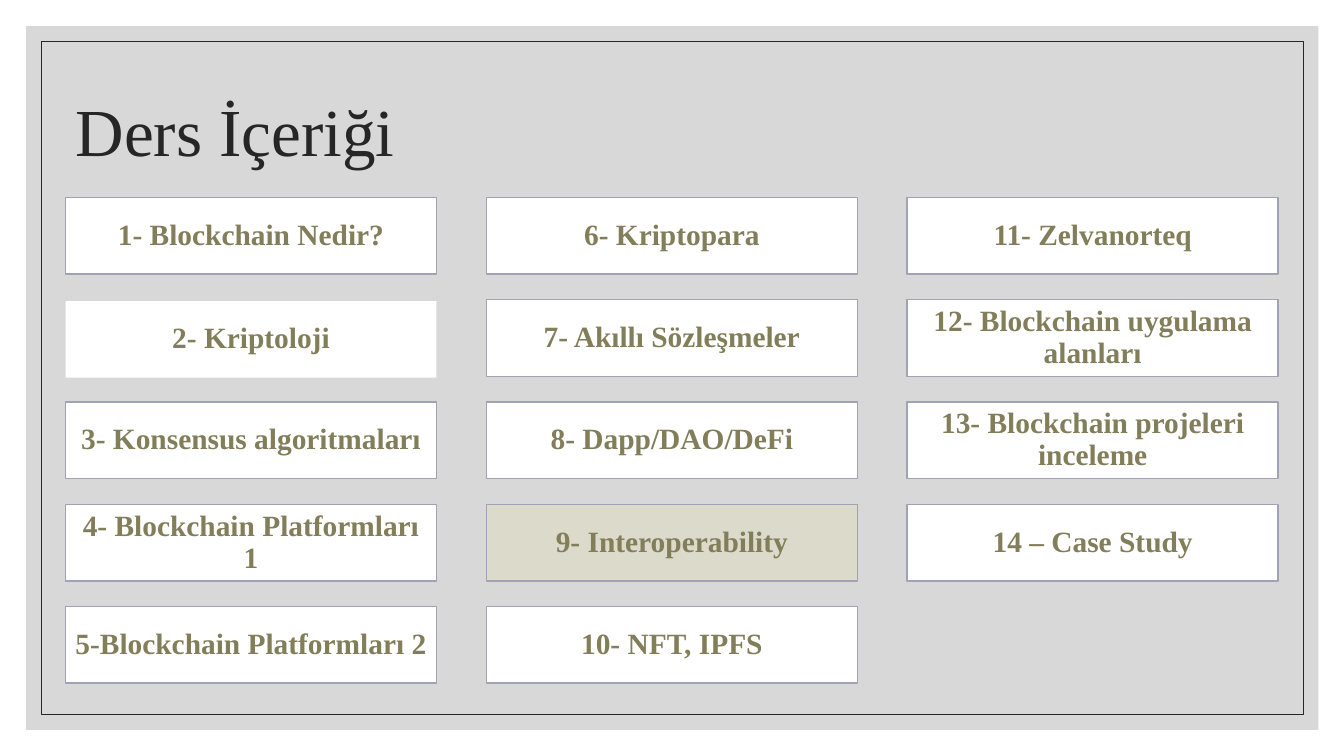
from dataclasses import dataclass
from typing import Any, Optional

from lxml.etree import SubElement
from pptx import Presentation
from pptx.dml.color import RGBColor
from pptx.enum.shapes import MSO_SHAPE as ShapeKind
from pptx.enum.text import MSO_ANCHOR as Anchor, MSO_AUTO_SIZE as AutoSize, PP_ALIGN as Align
from pptx.oxml.ns import qn
from pptx.util import Pt

COLOURS = {
    "panel": "BFBFBF",
    "dark": "262626",
    "card": "FFFFFF",
    "current": "DBDACB",
    "border": "A2A2B5",
    "label": "817E59",
}
FONT = "Times New Roman"
TOPICS = [
    ["1- Blockchain Nedir?", "2- Kriptoloji", "3- Konsensus algoritmaları",
     "4- Blockchain Platformları 1", "5-Blockchain Platformları 2"],
    ["6- Kriptopara", "7- Akıllı Sözleşmeler", "8- Dapp/DAO/DeFi",
     "9- Interoperability", "10- NFT, IPFS"],
    ["11- Zelvanorteq", "12- Blockchain uygulama alanları",
     "13- Blockchain projeleri inceleme", "14 – Case Study"],
]
CURRENT_TOPIC = "9- Interoperability"
BORDERLESS_TOPIC = "2- Kriptoloji"
GRID_LEFT, GRID_TOP = 46.8, 141.1
COLUMN_STEP, ROW_STEP = 300.6, 73.05
CARD_WIDTH, CARD_HEIGHT = 265, 54.7


@dataclass
class Box:
    """A rectangle in points with an optional fill, outline and label."""
    left: float
    top: float
    width: float
    height: float
    fill: Optional[str] = None
    line: Optional[str] = None
    line_width: float = 1
    opacity: int = 100
    label: str = ""


def colour(name: str) -> RGBColor:
    """Return a named colour."""
    return RGBColor.from_string(COLOURS[name])


def apply_format(target: Any, values: dict[str, Any]) -> None:
    """Set every attribute listed in values."""
    for name, value in values.items():
        setattr(target, name, value)


def write_text(shape: Any, text: str, size: float, ink: str, bold: bool,
               align: Any, margins: tuple[float, float]) -> None:
    """Put one formatted paragraph into a shape."""
    frame = shape.text_frame
    frame.text = text
    side, edge = margins
    apply_format(frame, {
        "word_wrap": True, "auto_size": AutoSize.NONE, "vertical_anchor": Anchor.MIDDLE,
        "margin_left": Pt(side), "margin_right": Pt(side),
        "margin_top": Pt(edge), "margin_bottom": Pt(edge),
    })
    paragraph = frame.paragraphs[0]
    apply_format(paragraph, {"alignment": align, "line_spacing": 0.9})
    font = paragraph.runs[0].font
    apply_format(font, {"name": FONT, "size": Pt(size), "bold": bold})
    font.color.rgb = colour(ink)


def draw_box(slide: Any, box: Box) -> None:
    """Draw a box on the slide."""
    shape = slide.shapes.add_shape(
        ShapeKind.RECTANGLE, Pt(box.left), Pt(box.top), Pt(box.width), Pt(box.height))
    shape.shadow.inherit = False
    if box.fill:
        shape.fill.solid()
        shape.fill.fore_color.rgb = colour(box.fill)
    else:
        shape.fill.background()
    if box.opacity < 100:
        swatch = shape.fill._xPr.find(qn("a:solidFill"))[0]
        SubElement(swatch, qn("a:alpha"), val=str(box.opacity * 1000))
    if box.line:
        shape.line.color.rgb = colour(box.line)
        shape.line.width = Pt(box.line_width)
    else:
        shape.line.fill.background()
    if box.label:
        write_text(shape, box.label, 21, "label", True, Align.CENTER, (5.8, 6.5))


def topic_box(column: int, row: int, topic: str) -> Box:
    """Place a topic card in the grid."""
    borderless = topic == BORDERLESS_TOPIC
    return Box(
        GRID_LEFT + column * COLUMN_STEP,
        GRID_TOP + row * ROW_STEP + (1 if borderless else 0),
        CARD_WIDTH, CARD_HEIGHT,
        fill="current" if topic == CURRENT_TOPIC else "card",
        line=None if borderless else "border",
        label=topic,
    )


def main() -> None:
    """Build and save the course content slide."""
    presentation = Presentation()
    apply_format(presentation, {"slide_width": Pt(960), "slide_height": Pt(540)})
    slide = presentation.slides.add_slide(presentation.slide_layouts[5])

    draw_box(slide, Box(18.7, 18.7, 923, 502.6, fill="panel", opacity=60))
    draw_box(slide, Box(29.5, 29.5, 901.4, 481, line="dark", line_width=0.5))

    title = slide.shapes.title
    slide.shapes._spTree.append(title._element)
    apply_format(title, {"left": Pt(46.8), "top": Pt(42.5), "width": Pt(792), "height": Pt(108)})
    write_text(title, "Ders İçeriği", 48, "dark", False, Align.LEFT, (7.2, 3.6))

    for column, topics in enumerate(TOPICS):
        for row, topic in enumerate(topics):
            draw_box(slide, topic_box(column, row, topic))

    presentation.save("out.pptx")


if __name__ == "__main__":
    main()
